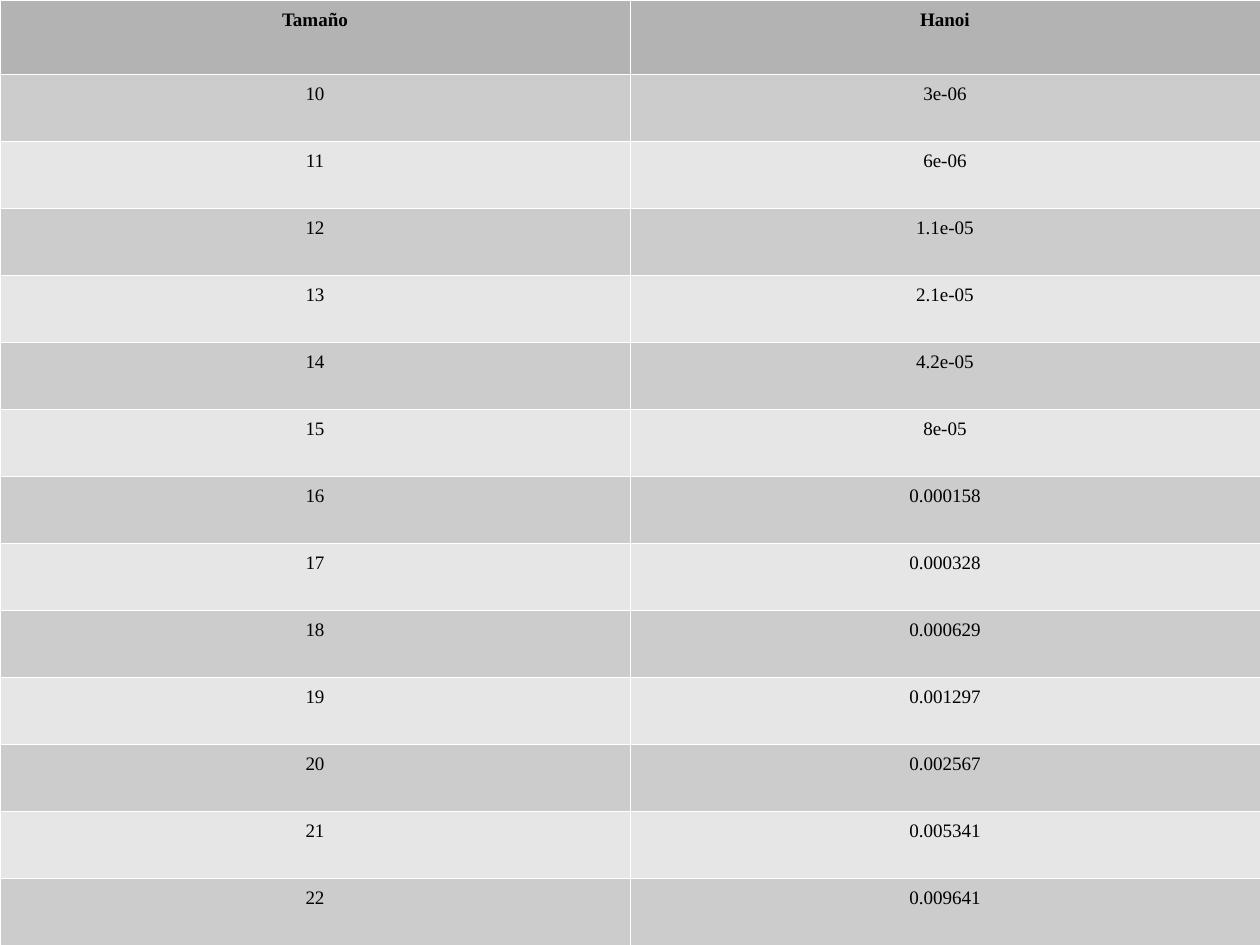
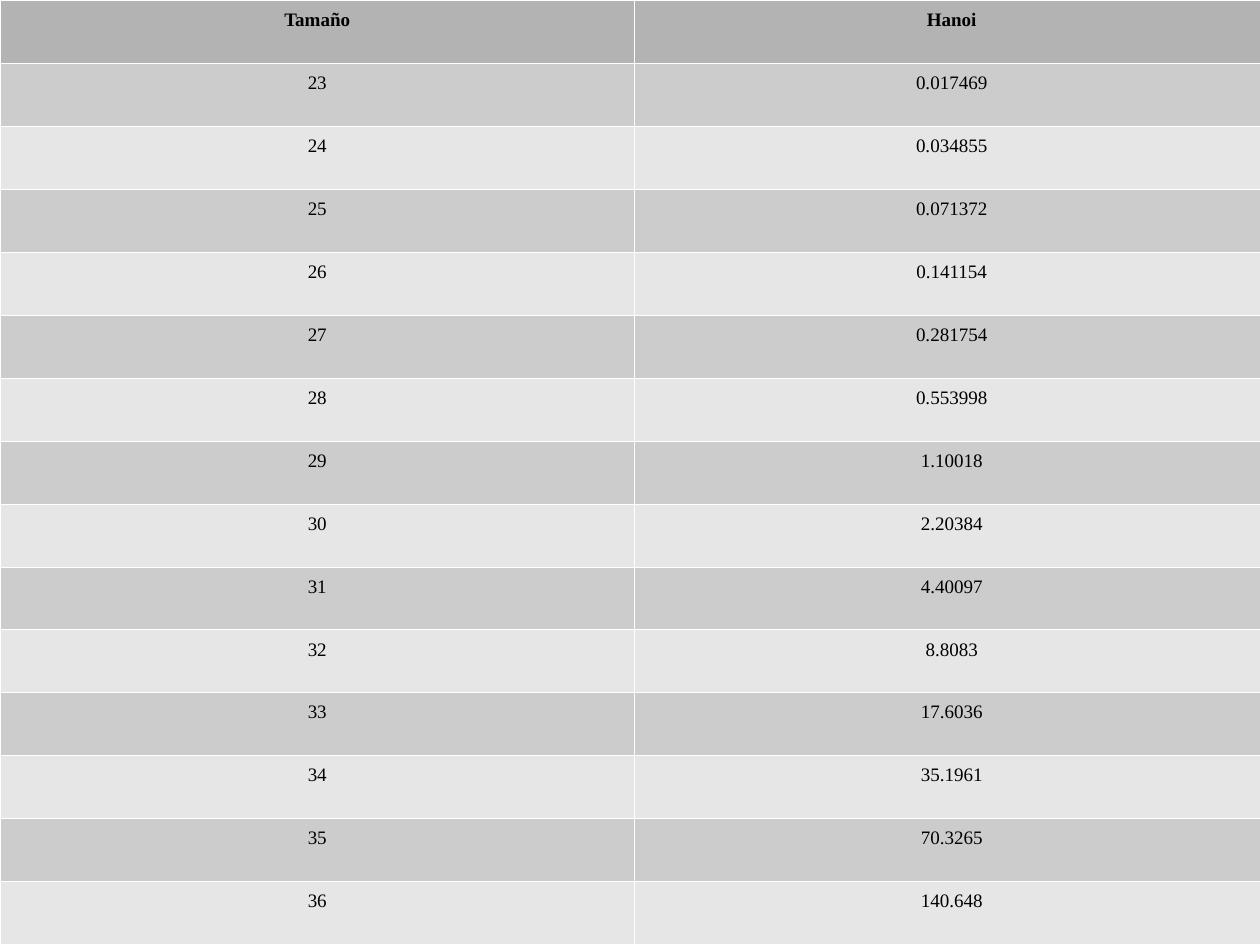
"""Build two slides tabulating Hanoi running times by problem size."""
from dataclasses import dataclass

from lxml import etree
from pptx import Presentation
from pptx.dml.color import RGBColor
from pptx.enum.text import PP_ALIGN
from pptx.oxml.ns import qn
from pptx.slide import Slide
from pptx.table import _Cell
from pptx.util import Cm, Pt

CENTER = PP_ALIGN.CENTER
BLACK = RGBColor(0x00, 0x00, 0x00)
WHITE = RGBColor(0xFF, 0xFF, 0xFF)
HEADER_GREY = RGBColor(0xB3, 0xB3, 0xB3)
BAND_GREYS = (RGBColor(0xCC, 0xCC, 0xCC), RGBColor(0xE6, 0xE6, 0xE6))
FONT_NAME = "Times New Roman"
FONT_SIZE = Pt(12)
LINE_SPACING = 1.18
BORDER_WIDTH = Pt(0.06)
BORDER_SIDES = ("a:lnL", "a:lnR", "a:lnT", "a:lnB")
HEADINGS = ("Tamaño", "Hanoi")
BLANK_LAYOUT = 6


@dataclass(frozen=True)
class TimingTable:
    first_size: int
    times: tuple[str, ...]
    column_width: Cm
    header_height: Cm
    row_height: Cm

    def rows(self) -> list[tuple[str, str]]:
        sizes = enumerate(self.times, start=self.first_size)
        return [HEADINGS, *((str(size), time) for size, time in sizes)]


TIMING_TABLES = (
    TimingTable(
        10,
        ("3e-06", "6e-06", "1.1e-05", "2.1e-05", "4.2e-05", "8e-05", "0.000158",
         "0.000328", "0.000629", "0.001297", "0.002567", "0.005341", "0.009641"),
        Cm(14), Cm(1.64), Cm(1.49),
    ),
    TimingTable(
        23,
        ("0.017469", "0.034855", "0.071372", "0.141154", "0.281754", "0.553998",
         "1.10018", "2.20384", "4.40097", "8.8083", "17.6036", "35.1961",
         "70.3265", "140.648"),
        Cm(14.1), Cm(1.4), Cm(1.4),
    ),
)


def add_borders(cell: _Cell) -> None:
    properties = cell._tc.get_or_add_tcPr()
    for side in BORDER_SIDES:
        line = etree.SubElement(properties, qn(side), w=str(BORDER_WIDTH))
        fill = etree.SubElement(line, qn("a:solidFill"))
        etree.SubElement(fill, qn("a:srgbClr"), val=str(WHITE))


def format_cell(cell: _Cell, text: str, color: RGBColor, bold: bool) -> None:
    add_borders(cell)
    cell.fill.solid()
    cell.fill.fore_color.rgb = color
    para = cell.text_frame.paragraphs[0]
    para.alignment = CENTER
    para.line_spacing = LINE_SPACING
    span = para.add_run()
    span.text = text
    span.font.name = FONT_NAME
    span.font.size = FONT_SIZE
    span.font.bold = bold
    span.font.color.rgb = BLACK


def add_timing_table(page: Slide, timing: TimingTable) -> None:
    rows = timing.rows()
    width = timing.column_width * len(HEADINGS)
    height = timing.header_height + timing.row_height * len(timing.times)
    table = page.shapes.add_table(len(rows), len(HEADINGS), 0, 0, width, height).table
    for column in table.columns:
        column.width = timing.column_width
    for row_index, texts in enumerate(rows):
        is_header = row_index == 0
        color = HEADER_GREY if is_header else BAND_GREYS[(row_index - 1) % 2]
        table.rows[row_index].height = timing.header_height if is_header else timing.row_height
        for column_index, text in enumerate(texts):
            format_cell(table.cell(row_index, column_index), text, color, is_header)


def main() -> None:
    deck = Presentation()
    deck.slide_width = Cm(28)
    deck.slide_height = Cm(21)
    for timing in TIMING_TABLES:
        page = deck.slides.add_slide(deck.slide_layouts[BLANK_LAYOUT])
        add_timing_table(page, timing)
    deck.save("out.pptx")


if __name__ == "__main__":
    main()
